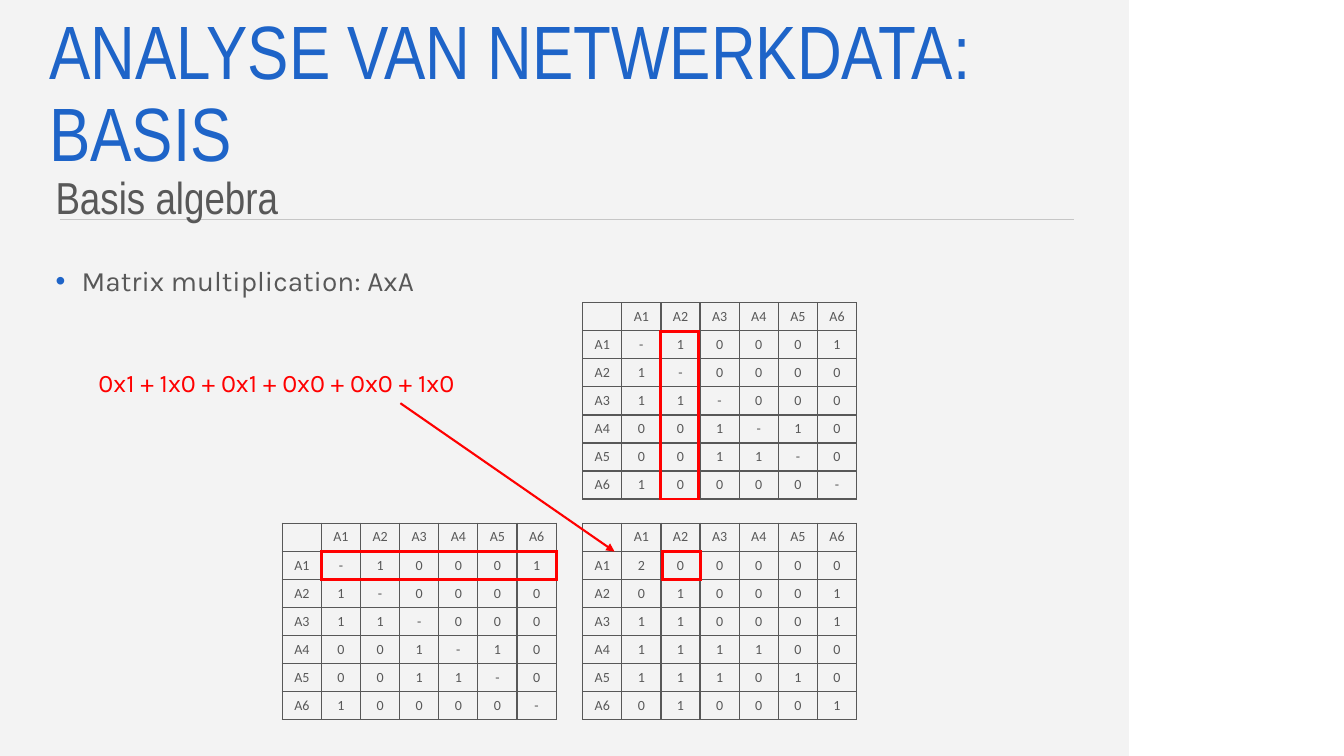
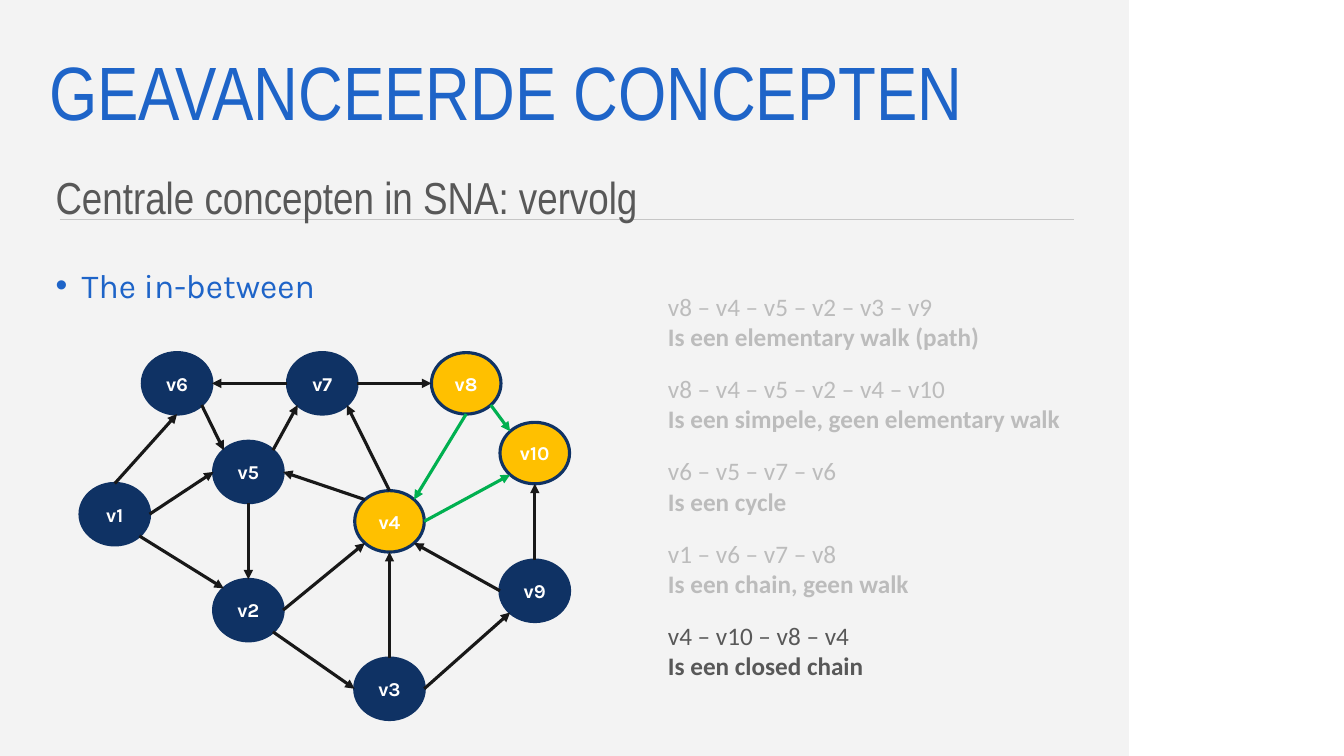
"""Build two lecture slides on matrix multiplication and walks in networks."""
from dataclasses import dataclass, replace
from enum import IntEnum
from math import cos, radians, sin

from lxml import etree
from pptx import Presentation
from pptx.dml.color import RGBColor
from pptx.enum.shapes import MSO_CONNECTOR, MSO_SHAPE
from pptx.enum.text import MSO_ANCHOR, PP_ALIGN
from pptx.oxml.ns import qn
from pptx.util import Pt

STRAIGHT = MSO_CONNECTOR.STRAIGHT
RECTANGLE, ELLIPSE = MSO_SHAPE.RECTANGLE, MSO_SHAPE.OVAL
TOP, MIDDLE = MSO_ANCHOR.TOP, MSO_ANCHOR.MIDDLE
LEFT, CENTER = PP_ALIGN.LEFT, PP_ALIGN.CENTER


@dataclass(frozen=True)
class Style:
    """Type settings of a paragraph."""
    font: str
    size: float
    color: RGBColor
    bold: bool = False
    align: PP_ALIGN = LEFT
    spacing: float = 1.0


@dataclass(frozen=True)
class Theme:
    """Colours and type styles of the deck."""
    panel = RGBColor.from_string("F3F3F3")
    rule = RGBColor.from_string("C6C6C6")
    blue = RGBColor.from_string("1E64C8")
    navy = RGBColor.from_string("0F3264")
    gold = RGBColor.from_string("FFC000")
    green = RGBColor.from_string("00B050")
    red = RGBColor.from_string("FF0000")
    black = RGBColor.from_string("181818")
    gray = RGBColor.from_string("585858")
    faded = RGBColor.from_string("BCBCBC")
    white = RGBColor.from_string("FFFFFF")
    title = Style("Arial Narrow", 54, blue, spacing=0.9)
    subtitle = Style("Arial Narrow", 32, gray, spacing=1.2)
    bullet = Style("Karla", 20, gray, spacing=1.2)
    lead_bullet = Style("Karla", 24, blue, spacing=1.2)
    formula = Style("Karla", 18, red, align=CENTER)
    node = Style("Karla", 14, white, bold=True, align=CENTER)
    cell = Style("Calibri", 10, gray, align=CENTER)
    note = Style("Calibri", 18, faded)


THEME = Theme()


@dataclass(frozen=True)
class Area:
    """A rectangle on the page, in points."""
    left: float
    top: float
    width: float
    height: float

    def lengths(self) -> tuple[Pt, Pt, Pt, Pt]:
        """Return the four measures as lengths."""
        return Pt(self.left), Pt(self.top), Pt(self.width), Pt(self.height)


Site = IntEnum("Site", "TOP TOP_LEFT LEFT BOTTOM_LEFT BOTTOM BOTTOM_RIGHT RIGHT TOP_RIGHT", start=0)
NODE_WIDTH, NODE_HEIGHT = 49.7, 43.9


@dataclass(frozen=True)
class Node:
    """A vertex of the network with its centre."""
    name: str
    x: float
    y: float
    marked: bool = False

    def point(self, site: Site) -> tuple[float, float]:
        """Return the position of a connection site, counterclockwise from the top."""
        angle = radians(90 + 45 * site)
        return (self.x + NODE_WIDTH / 2 * cos(angle),
                self.y - NODE_HEIGHT / 2 * sin(angle))


@dataclass(frozen=True)
class Edge:
    """A directed arc between two vertices."""
    source: str
    leaves: Site
    target: str
    enters: Site
    marked: bool = False


@dataclass(frozen=True)
class Matrix:
    """A labelled square matrix with one character a cell."""
    left: float
    top: float
    values: tuple[str, ...]


CELL_WIDTH, CELL_HEIGHT = 27.97, 20.05
LABELS = ("A1", "A2", "A3", "A4", "A5", "A6")
ADJACENCY = ("-10001", "1-0000", "11-000", "001-10", "0011-0", "10000-")
PRODUCT = ("200000", "010001", "110001", "111100", "111010", "010001")
LEFT_FACTOR = Matrix(201.6, 373.7, ADJACENCY)
RIGHT_FACTOR = Matrix(416.2, 216.2, ADJACENCY)
RESULT = Matrix(RIGHT_FACTOR.left, LEFT_FACTOR.top, PRODUCT)
HIGHLIGHTS = (
    Area(471.6, 236.7, 27.4, 119.8),
    Area(229.7, 393.8, 167.8, 20.2),
    Area(473, 393.8, 27.4, 20.2),
)

NODES = (
    Node("v7", 230.2, 273.8), Node("v6", 126.5, 273.8), Node("v8", 333, 273.8, True),
    Node("v4", 278.2, 372.4, True), Node("v3", 278.2, 492), Node("v2", 177.4, 435.8),
    Node("v10", 382, 323.6, True), Node("v9", 382, 422), Node("v5", 177.4, 337.1),
    Node("v1", 82, 367.3),
)
EDGES = (
    Edge("v4", Site.TOP, "v7", Site.BOTTOM_RIGHT), Edge("v2", Site.RIGHT, "v4", Site.BOTTOM_LEFT),
    Edge("v3", Site.TOP, "v4", Site.BOTTOM), Edge("v8", Site.BOTTOM, "v4", Site.TOP_RIGHT, True),
    Edge("v2", Site.BOTTOM_RIGHT, "v3", Site.LEFT), Edge("v3", Site.RIGHT, "v9", Site.BOTTOM_LEFT),
    Edge("v9", Site.LEFT, "v4", Site.BOTTOM_RIGHT), Edge("v9", Site.TOP, "v10", Site.BOTTOM),
    Edge("v7", Site.LEFT, "v6", Site.RIGHT), Edge("v7", Site.RIGHT, "v8", Site.LEFT),
    Edge("v1", Site.TOP, "v6", Site.BOTTOM), Edge("v1", Site.RIGHT, "v5", Site.LEFT),
    Edge("v6", Site.BOTTOM_RIGHT, "v5", Site.TOP_LEFT),
    Edge("v5", Site.TOP_RIGHT, "v7", Site.BOTTOM_LEFT),
    Edge("v4", Site.TOP_LEFT, "v5", Site.RIGHT), Edge("v1", Site.BOTTOM_RIGHT, "v2", Site.TOP_LEFT),
    Edge("v5", Site.BOTTOM, "v2", Site.TOP),
    Edge("v8", Site.BOTTOM_RIGHT, "v10", Site.TOP_LEFT, True),
    Edge("v4", Site.RIGHT, "v10", Site.BOTTOM_LEFT, True),
)
WALKS = (
    ("v8 – v4 – v5 – v2 – v3 – v9", "Is een elementary walk (path)"),
    ("v8 – v4 – v5 – v2 – v4 – v10", "Is een simpele, geen elementary walk"),
    ("v6 – v5 – v7 – v6", "Is een cycle"),
    ("v1 – v6 – v7 – v8", "Is een chain, geen walk"),
    ("v4 – v10 – v8 – v4", "Is een closed chain"),
)
WALK_TOP, WALK_PITCH = 204.4, 58.8


def style_paragraph(para, style: Style) -> None:
    """Apply a type style to a whole paragraph."""
    para.alignment = style.align
    para.line_spacing = style.spacing
    font = para.font
    font.name, font.size, font.bold = style.font, Pt(style.size), style.bold
    font.color.rgb = style.color


def add_text(page, area: Area, lines: dict[str, Style], anchor=TOP):
    """Add a wrapping text box with one styled paragraph a line."""
    box = page.shapes.add_textbox(*area.lengths())
    frame = box.text_frame
    frame.word_wrap, frame.vertical_anchor = True, anchor
    frame.text = "\n".join(lines)
    for para, style in zip(frame.paragraphs, lines.values()):
        style_paragraph(para, style)
    return box


def add_bullet(page, text: str, style: Style) -> None:
    """Add the bulleted line that opens the body."""
    box = add_text(page, Area(32.6, 180, 734.4, 351.4), {text: style})
    properties = box.text_frame.paragraphs[0]._p.get_or_add_pPr()
    properties.set("marL", str(Pt(18.7)))
    properties.set("indent", str(Pt(-18.7)))
    color = etree.Element(qn("a:buClr"))
    etree.SubElement(color, qn("a:srgbClr"), val=str(THEME.blue))
    defaults = properties.find(qn("a:defRPr"))
    for element in (color, etree.Element(qn("a:buFont"), typeface="Arial"),
                    etree.Element(qn("a:buChar"), char="•")):
        defaults.addprevious(element)


def add_shape(page, kind, area: Area, fill: RGBColor, line: RGBColor, width: float):
    """Add a preset shape without shadow."""
    shape = page.shapes.add_shape(kind, *area.lengths())
    shape.shadow.inherit = False
    shape.fill.solid()
    shape.fill.fore_color.rgb = fill
    shape.line.color.rgb, shape.line.width = line, Pt(width)
    return shape


def add_line(page, start, end, color: RGBColor, width: float, arrow: bool = True):
    """Add a straight connector, with an arrowhead at its end if wanted."""
    connector = page.shapes.add_connector(STRAIGHT, *map(Pt, (*start, *end)))
    connector.line.color.rgb, connector.line.width = color, Pt(width)
    properties = connector._element.spPr
    if arrow:
        etree.SubElement(properties.find(qn("a:ln")), qn("a:tailEnd"), type="triangle")
    etree.SubElement(properties, qn("a:effectLst"))
    return connector


def add_page(deck, title: str, subtitle: str):
    """Add a page with the shared panel, rule and headings."""
    page = deck.slides.add_slide(deck.slide_layouts[6])
    panel = add_shape(page, RECTANGLE, Area(0, 0, 806.4, 540), THEME.panel, THEME.panel, 0)
    panel.line.fill.background()
    add_line(page, (42.7, 157), (767.5, 157), THEME.rule, 0.5, arrow=False)
    add_text(page, Area(28.2, 26, 738.8, 85.5), {title: THEME.title}, MIDDLE)
    add_text(page, Area(32.6, 110, 734.4, 51), {subtitle: THEME.subtitle})
    return page


def format_cell(cell, text: str, color: RGBColor, width: float) -> None:
    """Fill in one cell and draw its borders."""
    cell.text = text
    cell.vertical_anchor = MIDDLE
    cell.margin_left = cell.margin_right = cell.margin_top = cell.margin_bottom = 0
    para = cell.text_frame.paragraphs[0]
    style_paragraph(para, THEME.cell)
    if not text:
        etree.SubElement(para._p, qn("a:endParaRPr"), sz=str(THEME.cell.size * 100))
    properties = cell._tc.get_or_add_tcPr()
    for side in ("a:lnL", "a:lnR", "a:lnT", "a:lnB"):
        border = etree.SubElement(properties, qn(side), w=str(Pt(width)))
        fill = etree.SubElement(border, qn("a:solidFill"))
        etree.SubElement(fill, qn("a:srgbClr"), val=str(color))
    cell.fill.background()


def add_grid(page, area: Area, rows: list, color: RGBColor, width: float) -> None:
    """Add a bordered table without fill."""
    table = page.shapes.add_table(len(rows), len(rows[0]), *area.lengths()).table
    table.first_row = table.horz_banding = False
    for row, texts in enumerate(rows):
        for column, text in enumerate(texts):
            format_cell(table.cell(row, column), text, color, width)


def build_algebra(deck) -> None:
    """Build the page on matrix multiplication."""
    page = add_page(deck, "ANALYSE VAN NETWERKDATA: BASIS", "Basis algebra")
    add_bullet(page, "Matrix multiplication: AxA", THEME.bullet)
    size = len(LABELS) + 1
    for matrix in (LEFT_FACTOR, RESULT, RIGHT_FACTOR):
        rows = [("", *LABELS), *((label, *row) for label, row in zip(LABELS, matrix.values))]
        area = Area(matrix.left, matrix.top, size * CELL_WIDTH, size * CELL_HEIGHT)
        add_grid(page, area, rows, THEME.gray, 1)
    for area in HIGHLIGHTS:
        add_grid(page, area, [("",)], THEME.red, 2.25)
    add_text(page, Area(32.6, 259, 330, 29),
             {"0x1 + 1x0 + 0x1 + 0x0 + 0x0 + 1x0": THEME.formula})
    add_line(page, (286, 288), (439, 394), THEME.red, 1.5)


def add_network(page) -> None:
    """Draw the vertices and glue the arcs to them."""
    nodes = {node.name: node for node in NODES}
    shapes = {}
    for node in NODES:
        area = Area(node.x - NODE_WIDTH / 2, node.y - NODE_HEIGHT / 2, NODE_WIDTH, NODE_HEIGHT)
        fill = THEME.gold if node.marked else THEME.navy
        shape = add_shape(page, ELLIPSE, area, fill, THEME.navy, 2.25)
        frame = shape.text_frame
        frame.word_wrap, frame.vertical_anchor = False, MIDDLE
        frame.text = node.name
        style_paragraph(frame.paragraphs[0], THEME.node)
        shapes[node.name] = shape
    for edge in EDGES:
        connector = add_line(page, nodes[edge.source].point(edge.leaves),
                             nodes[edge.target].point(edge.enters),
                             THEME.green if edge.marked else THEME.black, 2.25)
        links = connector._element.find(".//" + qn("p:cNvCxnSpPr"))
        for tag, name, site in (("a:stCxn", edge.source, edge.leaves),
                                ("a:endCxn", edge.target, edge.enters)):
            etree.SubElement(links, qn(tag), id=str(shapes[name].shape_id), idx=str(int(site)))


def build_concepts(deck) -> None:
    """Build the page on walks, cycles and chains."""
    page = add_page(deck, "GEAVANCEERDE CONCEPTEN", "Centrale concepten in SNA: vervolg")
    add_bullet(page, "The in-between", THEME.lead_bullet)
    add_network(page)
    for index, (walk, verdict) in enumerate(WALKS):
        current = index == len(WALKS) - 1
        style = replace(THEME.note, color=THEME.gray) if current else THEME.note
        add_text(page, Area(470, WALK_TOP + index * WALK_PITCH, 298, 51),
                 {walk: style, verdict: replace(style, bold=True)})


def main() -> None:
    """Build and save the deck."""
    deck = Presentation()
    deck.slide_width, deck.slide_height = Pt(960), Pt(540)
    build_algebra(deck)
    build_concepts(deck)
    deck.save("out.pptx")


if __name__ == "__main__":
    main()
